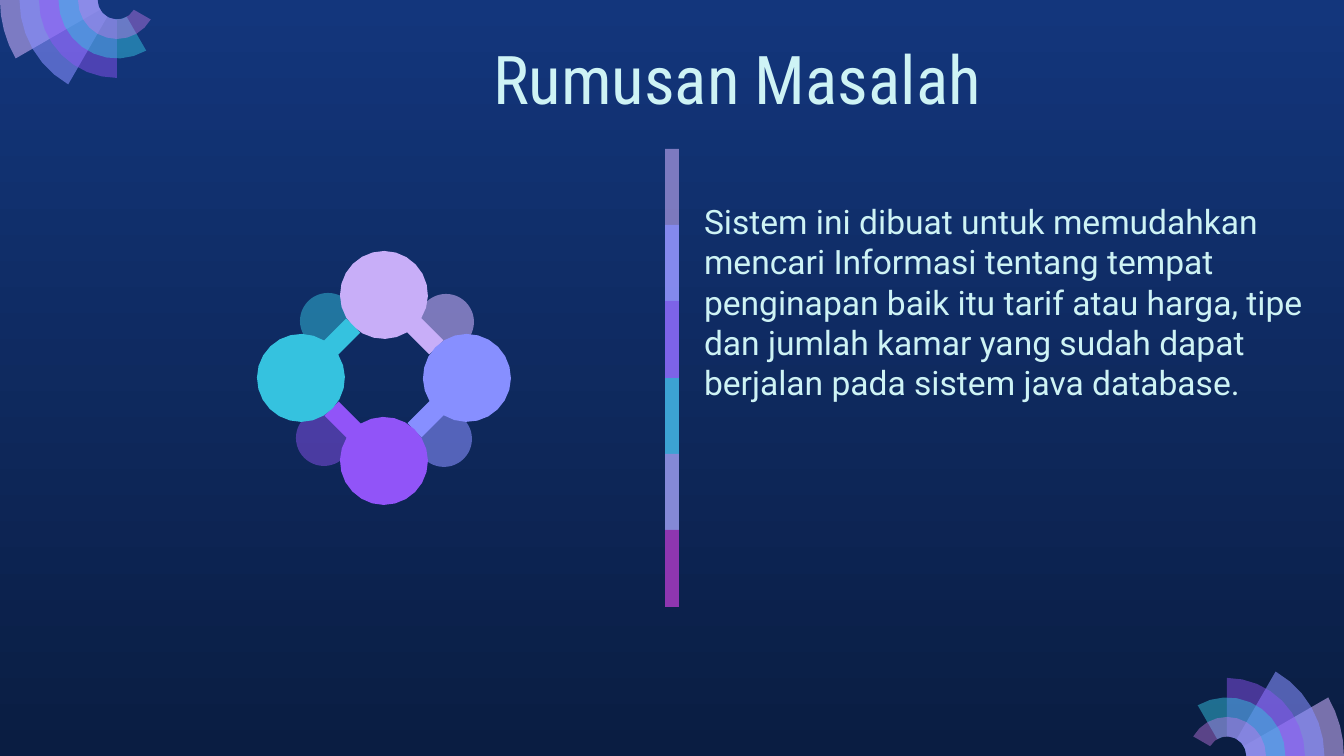
from dataclasses import dataclass
from math import acos, asin, ceil, cos, degrees, radians, sin

from lxml import etree
from pptx import Presentation
from pptx.dml.color import RGBColor
from pptx.enum.shapes import MSO_SHAPE
from pptx.enum.text import MSO_ANCHOR, PP_ALIGN
from pptx.oxml.ns import qn
from pptx.util import Pt

RECT, OVAL = MSO_SHAPE.RECTANGLE, MSO_SHAPE.OVAL
TOP, MIDDLE = MSO_ANCHOR.TOP, MSO_ANCHOR.MIDDLE
LEFT, CENTER = PP_ALIGN.LEFT, PP_ALIGN.CENTER

NIGHT = RGBColor(0x0A, 0x1D, 0x42)
NAVY = RGBColor(0x13, 0x36, 0x7C)
PALE = RGBColor(0xCE, 0xF3, 0xF5)
PINK = RGBColor(0xC8, 0xAE, 0xF8)
BLUE = RGBColor(0x87, 0x8F, 0xFF)
PURPLE = RGBColor(0x91, 0x54, 0xF8)
TEAL = RGBColor(0x35, 0xC2, 0xDF)
ORCHID = RGBColor(0xCA, 0x7B, 0xEB)
PLUM = RGBColor(0x97, 0x2C, 0xB4)

WIDTH, HEIGHT = 1344, 756
SCALE = 9144000 / WIDTH

Point = tuple[float, float]


@dataclass
class Paint:
    color: RGBColor
    alpha: int = 100


@dataclass
class Dot:
    x: int
    y: int
    paint: Paint


@dataclass
class Label:
    box: tuple[int, int, int, int]
    text: str
    frame: dict
    align: int
    font: dict


BANDS = [Paint(PINK, 59), Paint(BLUE, 74), Paint(PURPLE, 53),
         Paint(TEAL, 76), Paint(ORCHID, 56), Paint(PLUM, 74)]
DOTS = [Dot(328, 321, Paint(TEAL, 49)), Dot(446, 322, Paint(PINK, 59)),
        Dot(444, 439, Paint(BLUE, 58)), Dot(324, 438, Paint(PURPLE, 46))]
PETALS = [Paint(PINK), Paint(BLUE), Paint(PURPLE), Paint(TEAL)]
BLADES = [Paint(PINK, 58), Paint(BLUE, 58), Paint(PURPLE, 46),
          Paint(TEAL, 49), Paint(ORCHID, 42)]
FANS = [((1227, 756), 0), ((117, 0), 180)]

LABELS = [
    Label((691, 188, 633, 464),
          "Sistem ini dibuat untuk memudahkan mencari Informasi tentang "
          "tempat penginapan baik itu tarif atau harga, tipe dan jumlah "
          "kamar yang sudah dapat berjalan pada sistem java database.",
          {"vertical_anchor": TOP}, LEFT, {"name": "Roboto", "size": Pt(18)}),
    Label((466, 35, 542, 86), "Rumusan Masalah",
          {"vertical_anchor": MIDDLE}, CENTER,
          {"name": "Roboto Condensed", "size": Pt(36)}),
]


def px(length: float) -> int:
    return round(length * SCALE)


def apply(target, values: dict) -> None:
    for name, value in values.items():
        setattr(target, name, value)


def polar(hub: Point, radius: float, angle: float) -> Point:
    turn = radians(angle)
    return hub[0] + radius * cos(turn), hub[1] + radius * sin(turn)


def arc(hub: Point, radius: float, start: float, end: float) -> list[Point]:
    """Chords that stray less than half a pixel from the curve."""
    chord = 2 * degrees(acos(1 - 0.4 / radius))
    steps = ceil(abs(end - start) / chord)
    return [polar(hub, radius, start + (end - start) * i / steps)
            for i in range(steps + 1)]


def coat(shape, paint: Paint) -> None:
    shape.shadow.inherit = False
    shape.line.fill.background()
    shape.fill.solid()
    shape.fill.fore_color.rgb = paint.color
    if paint.alpha < 100:
        color = shape.fill._xPr.find(f".//{qn('a:srgbClr')}")
        etree.SubElement(color, qn("a:alpha"), val=str(paint.alpha * 1000))


def preset(shapes, kind: int, box: tuple, paint: Paint) -> None:
    coat(shapes.add_shape(kind, *map(px, box)), paint)


def outline(shapes, points: list[Point], paint: Paint) -> None:
    first, *rest = [(px(x), px(y)) for x, y in points]
    pen = shapes.build_freeform(*first, scale=1.0)
    pen.add_line_segments(rest, close=True)
    coat(pen.convert_to_shape(), paint)


def petal(shapes, hub: Point, angle: int, paint: Paint) -> None:
    """A disc with a straight stem that leaves it at the given angle."""
    radius, reach, half = 44, 74, 10
    gap = degrees(asin(half / radius))
    tip = polar(hub, reach, angle)
    ends = [polar(tip, half, angle + side) for side in (-90, 90)]
    outline(shapes, arc(hub, radius, angle + gap, angle + 360 - gap) + ends, paint)


def fan(shapes, hub: Point, turn: int) -> None:
    """Ring slices, each one narrower and swept 30 degrees further."""
    inner = 19.5
    for i, paint in enumerate(BLADES):
        outer, end = inner * (6 - i), turn - 30 * (i + 1)
        outline(shapes, arc(hub, outer, turn, end) + arc(hub, inner, end, turn), paint)


def write(shapes, label: Label) -> None:
    frame = shapes.add_textbox(*map(px, label.box)).text_frame
    sides = ("left", "right", "top", "bottom")
    apply(frame, {"word_wrap": True, **label.frame,
                  **{f"margin_{side}": px(13) for side in sides}})
    line = frame.paragraphs[0]
    line.alignment = label.align
    run = line.add_run()
    run.text = label.text
    apply(run.font, label.font)
    run.font.color.rgb = PALE


def main() -> None:
    deck = Presentation()
    deck.slide_width, deck.slide_height = px(WIDTH), px(HEIGHT)
    slide = deck.slides.add_slide(deck.slide_layouts[6])
    shapes = slide.shapes

    # Background, dark towards the bottom
    back = slide.background.fill
    back.gradient()
    back.gradient_angle = 270
    for stop, color in zip(back.gradient_stops, (NAVY, NIGHT)):
        stop.color.rgb = color

    # Divider: each band reaches under the next one
    edges = [149 + i * 458 // 6 for i in range(7)]
    for i, paint in enumerate(BANDS):
        foot = edges[min(i + 2, 6)]
        preset(shapes, RECT, (665, edges[i], 14, foot - edges[i]), paint)

    # Ring of four linked discs over faint dots
    for dot in DOTS:
        preset(shapes, OVAL, (dot.x - 28, dot.y - 28, 56, 56), dot.paint)
    for i, paint in enumerate(PETALS):
        hub = polar((384, 378), 83, 90 * i - 90)
        petal(shapes, hub, 90 * i + 45, paint)

    # Text
    for label in LABELS:
        write(shapes, label)

    # Corner fans
    for hub, turn in FANS:
        fan(shapes, hub, turn)

    deck.save("out.pptx")


if __name__ == "__main__":
    main()
